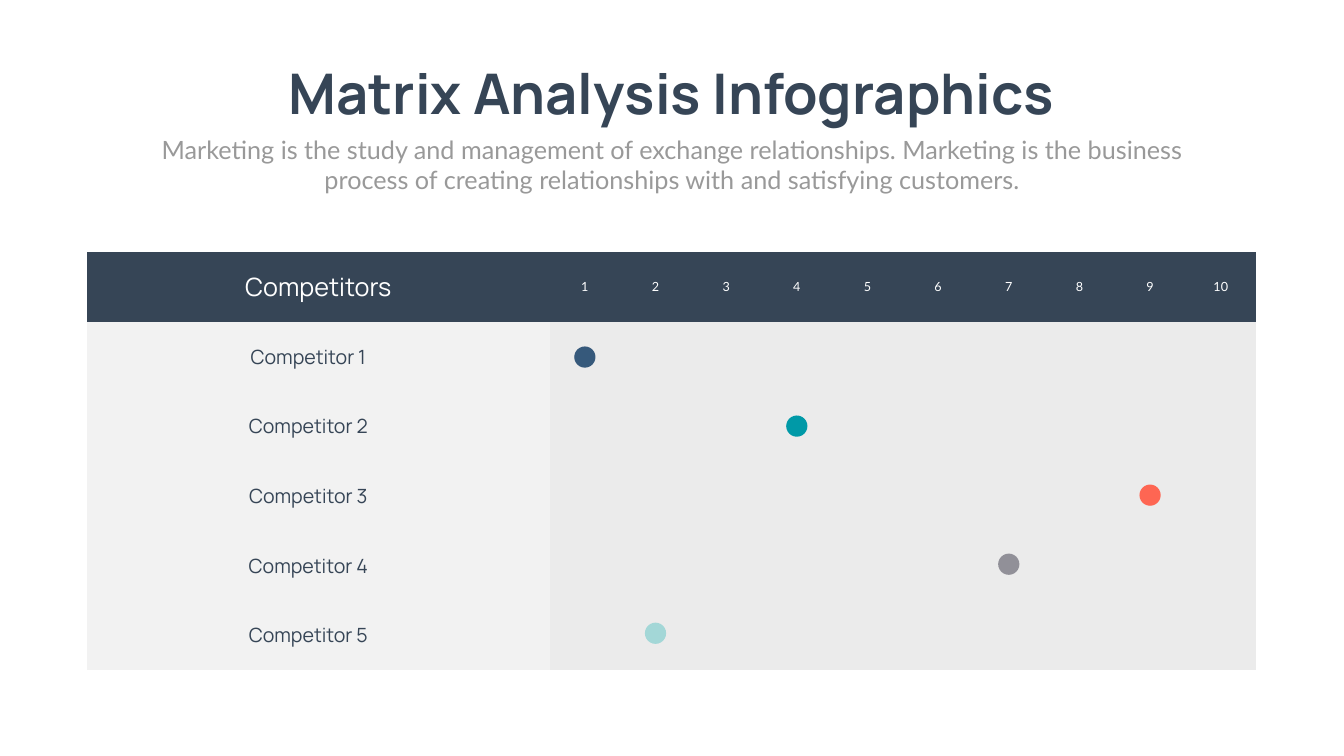
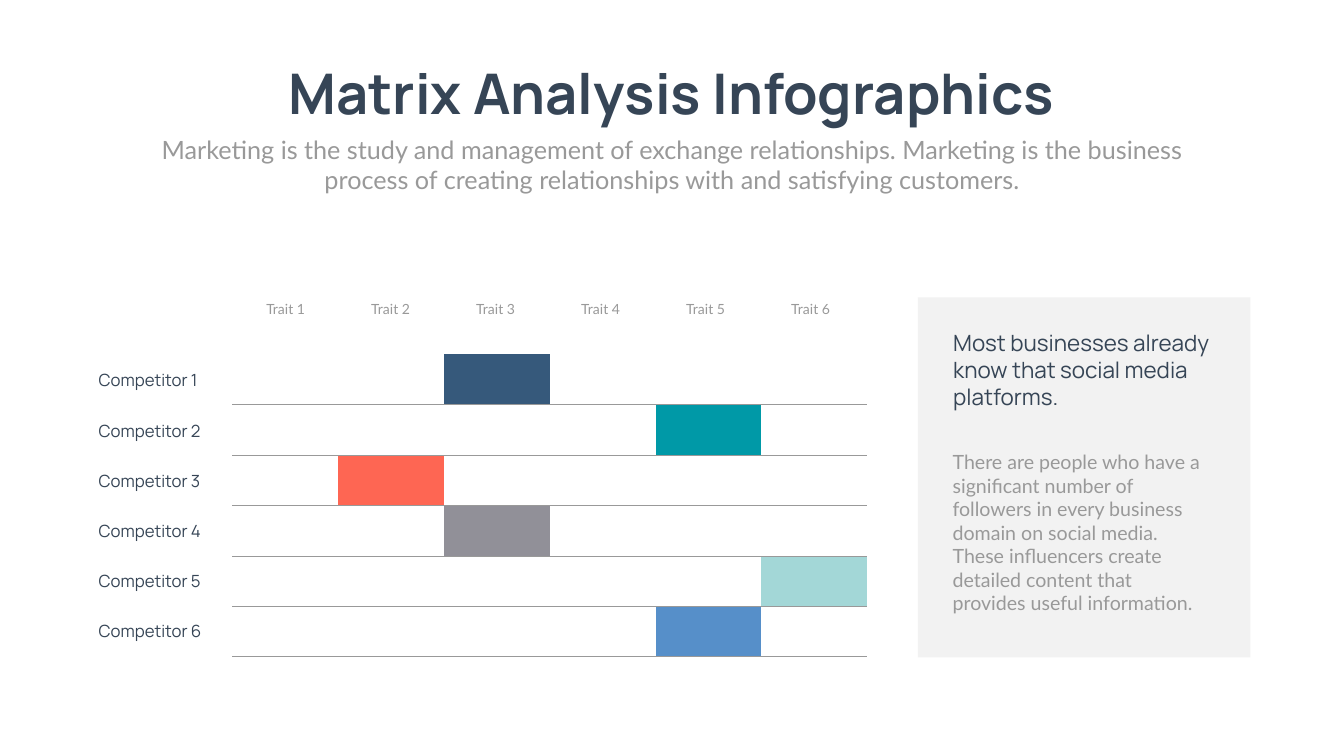
"""Build two matrix analysis slides that compare competitors."""
from typing import NamedTuple

from lxml import etree
from pptx import Presentation
from pptx import util as u
from pptx.dml.color import RGBColor
from pptx.enum import shapes, text
from pptx.oxml.ns import qn

NAVY, GREY, WHITE = "364556", "999999", "FFFFFF"
PALE, SILVER = "F2F2F2", "EBEBEB"
BLUE, TEAL, CORAL, STONE, MINT, SKY = (
    "36597B", "0099A7", "FE6653", "919098", "A3D7D7", "568FC9")
HEADING_FONT, BODY_FONT = "Manrope", "Lato"
PLAIN_TABLE = "{2D5ABB26-0587-4C30-8999-92F81FD0307C}"
CENTER, LEFT = text.PP_ALIGN.CENTER, text.PP_ALIGN.LEFT
TOP, MIDDLE = text.MSO_ANCHOR.TOP, text.MSO_ANCHOR.MIDDLE


class Area(NamedTuple):
    """Position and size in centimetres."""
    left: float
    top: float
    width: float
    height: float

    def lengths(self) -> list:
        """Return the four values as lengths."""
        return [u.Cm(value) for value in self]


class Mark(NamedTuple):
    """A coloured entry of a matrix, counted from one."""
    row: int
    column: int
    color: str


SCORES = [Mark(1, 1, BLUE), Mark(2, 4, TEAL), Mark(3, 9, CORAL),
          Mark(4, 7, STONE), Mark(5, 2, MINT)]
TRAITS = [Mark(1, 3, BLUE), Mark(2, 5, TEAL), Mark(3, 2, CORAL),
          Mark(4, 3, STONE), Mark(5, 6, MINT), Mark(6, 5, SKY)]


def rgb(color: str) -> RGBColor:
    """Turn a hex string into a colour."""
    return RGBColor.from_string(color)


def write(frame, words: str, *, size: float, font: str = BODY_FONT,
          color: str = GREY, bold: bool = False, align=LEFT) -> None:
    """Write one formatted paragraph into a text frame."""
    para = frame.paragraphs[0]
    para.alignment = align
    span = para.add_run()
    span.text = words
    span.font.size = u.Pt(size)
    span.font.name = font
    span.font.bold = bold
    span.font.color.rgb = rgb(color)


def add_text(page, area: Area, words: str, *, anchor=TOP, wrap: bool = True,
             **style) -> None:
    """Add a text box that grows with its text."""
    frame = page.shapes.add_textbox(*area.lengths()).text_frame
    frame.word_wrap = wrap
    frame.auto_size = text.MSO_AUTO_SIZE.SHAPE_TO_FIT_TEXT
    frame.vertical_anchor = anchor
    write(frame, words, **style)


def add_figure(page, kind, area: Area, color: str) -> None:
    """Add a filled shape without outline."""
    figure = page.shapes.add_shape(kind, *area.lengths())
    figure.shadow.inherit = False
    figure.fill.solid()
    figure.fill.fore_color.rgb = rgb(color)
    figure.line.fill.background()


def add_grid(page, area: Area, rows: int, widths: list[float]):
    """Add an unstyled table with equal rows and the given column widths."""
    table = page.shapes.add_table(rows, len(widths), *area.lengths()).table
    table.first_row = table.horz_banding = False
    table._tbl.tblPr.find(qn("a:tableStyleId")).text = PLAIN_TABLE
    for column, width in zip(table.columns, widths):
        column.width = u.Cm(width)
    for row in table.rows:
        row.height = u.Cm(area.height / rows)
    return table


def fill_cell(cell, color: str) -> None:
    """Fill a table cell with one colour."""
    cell.fill.solid()
    cell.fill.fore_color.rgb = rgb(color)


def underline_cell(cell, color: str) -> None:
    """Draw a one point line below a table cell."""
    line = etree.Element(qn("a:lnB"), w=str(u.Pt(1)))
    fill = etree.SubElement(line, qn("a:solidFill"))
    etree.SubElement(fill, qn("a:srgbClr"), val=color)
    cell._tc.get_or_add_tcPr().insert(0, line)


def add_page(deck):
    """Add a blank page with the shared title and subtitle."""
    page = deck.slides.add_slide(deck.slide_layouts[6])
    page.background.fill.solid()
    page.background.fill.fore_color.rgb = rgb(WHITE)
    add_text(page, Area(12.62, 2.84, 42.44, 3.68),
             "Matrix Analysis Infographics", wrap=False, size=80,
             font=HEADING_FONT, color=NAVY, bold=True, align=CENTER)
    add_text(page, Area(7.42, 6.63, 52.88, 3.33),
             "Marketing is the study and management of exchange "
             "relationships. Marketing is the business process of creating "
             "relationships with and satisfying customers.",
             size=36, align=CENTER)
    return page


def build_score_page(deck) -> None:
    """Place each competitor's dot on a scale from one to ten."""
    page = add_page(deck)
    area = Area(4.39, 12.7, 58.92, 21.08)
    name_width, score_width, dot = 23.3, 3.56, 1.07
    table = add_grid(page, area, 6, [name_width] + [score_width] * 10)
    for row in range(6):
        for column in range(11):
            cell = table.cell(row, column)
            cell.vertical_anchor = MIDDLE
            body_color = SILVER if column else PALE
            fill_cell(cell, body_color if row else NAVY)
            if column:
                cell.margin_left = cell.margin_right = 0
                if row == 0:
                    write(cell.text_frame, str(column), size=18,
                          color=WHITE, align=CENTER)
            elif row:
                cell.margin_right = u.Cm(1.27)
                write(cell.text_frame, f"Competitor {row}", size=28,
                      font=HEADING_FONT, color=NAVY, align=CENTER)
            else:
                write(cell.text_frame, "Competitors", size=36,
                      font=HEADING_FONT, color=WHITE, align=CENTER)
    for score in SCORES:
        center = area.left + name_width + score_width * (score.column - 0.5)
        spot = Area(center - dot / 2, 17.46 + 3.48 * (score.row - 1), dot, dot)
        add_figure(page, shapes.MSO_SHAPE.OVAL, spot, score.color)


def build_trait_page(deck) -> None:
    """Show each competitor's trait as a coloured cell beside a text panel."""
    page = add_page(deck)
    table = add_grid(page, Area(11.71, 17.86, 31.98, 15.24), 6, [5.33] * 6)
    colors = {(mark.row, mark.column): mark.color for mark in TRAITS}
    for number in range(1, 7):
        for column in range(1, 7):
            cell = table.cell(number - 1, column - 1)
            fill_cell(cell, colors.get((number, column), WHITE))
            underline_cell(cell, GREY)
        add_text(page, Area(12.07 + 5.29 * (number - 1), 14.99, 4.65, 1.12),
                 f"Trait {number}", anchor=MIDDLE, size=20, align=CENTER)
        add_text(page, Area(4.72, 18.53 + 2.53 * (number - 1), 6.58, 1.37),
                 f"Competitor {number}", size=24, font=HEADING_FONT,
                 color=NAVY)
    add_figure(page, shapes.MSO_SHAPE.RECTANGLE,
               Area(46.25, 14.99, 16.76, 18.14), PALE)
    add_text(page, Area(47.75, 22.56, 13.08, 8.64),
             "There are people who have a significant number of followers in "
             "every business domain on social media. These influencers "
             "create detailed content that provides useful information.",
             size=28)
    add_text(page, Area(47.78, 16.46, 14.15, 4.37),
             "Most businesses already know that social media platforms.",
             size=32, font=HEADING_FONT, color=NAVY)


def main() -> None:
    """Create the deck and save it."""
    deck = Presentation()
    deck.slide_width, deck.slide_height = u.Cm(67.72), u.Cm(38.1)
    build_score_page(deck)
    build_trait_page(deck)
    deck.save("out.pptx")


if __name__ == "__main__":
    main()
